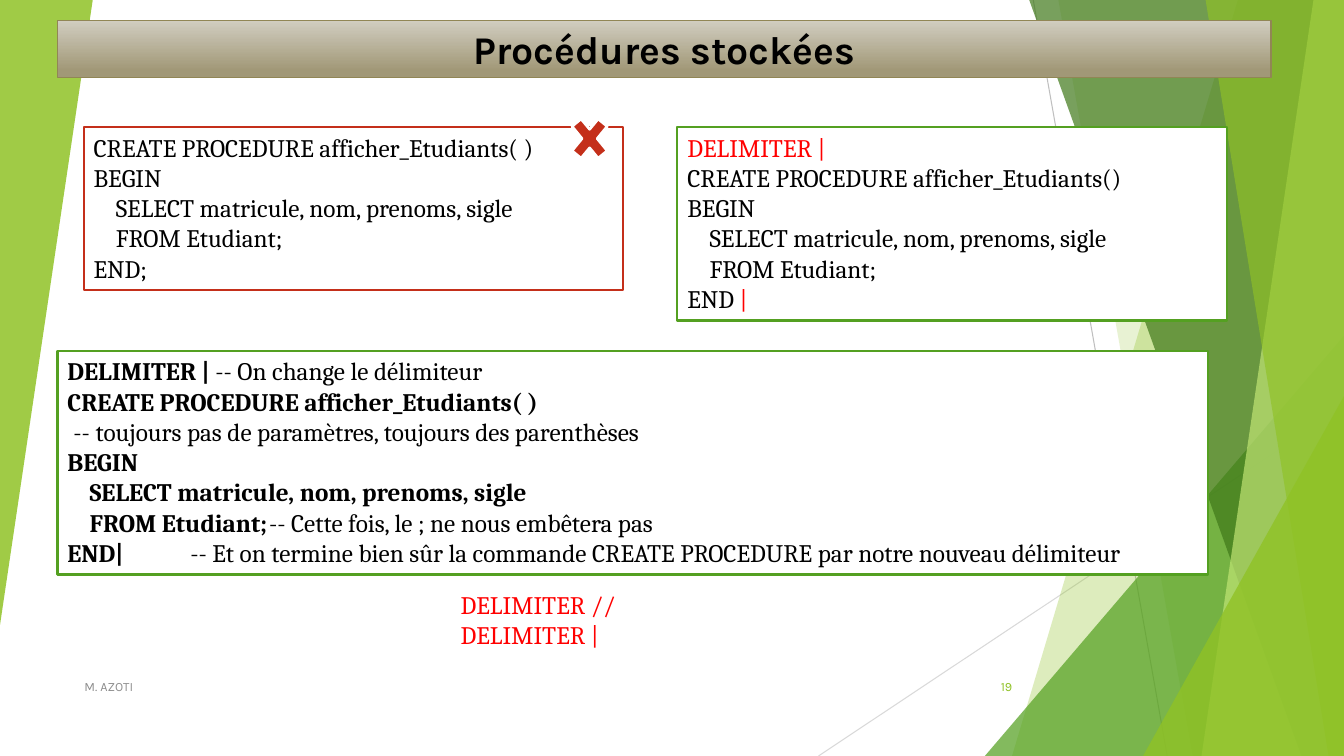
from pptx import Presentation
from pptx.dml.color import RGBColor
from pptx.enum.shapes import MSO_CONNECTOR, MSO_SHAPE
from pptx.enum.text import MSO_ANCHOR, MSO_AUTO_SIZE, PP_ALIGN
from pptx.oxml.ns import qn
from pptx.util import Inches, Pt
from lxml import etree

RECT, TRIANGLE, CROSS = MSO_SHAPE.RECTANGLE, MSO_SHAPE.ISOSCELES_TRIANGLE, MSO_SHAPE.MATH_MULTIPLY
STRAIGHT = MSO_CONNECTOR.STRAIGHT
TOP, MIDDLE = MSO_ANCHOR.TOP, MSO_ANCHOR.MIDDLE
LEFT, CENTER, RIGHT = PP_ALIGN.LEFT, PP_ALIGN.CENTER, PP_ALIGN.RIGHT
NO_FIT = MSO_AUTO_SIZE.NONE

BLACK = RGBColor(0x00, 0x00, 0x00)
WHITE = RGBColor(0xFF, 0xFF, 0xFF)
RED = RGBColor(0xFF, 0x00, 0x00)
BRICK = RGBColor(0xC4, 0x2F, 0x1A)
GREY = RGBColor(0x8C, 0x8C, 0x8C)
SILVER = RGBColor(0xBF, 0xBF, 0xBF)
PALE_GREY = RGBColor(0xD9, 0xD9, 0xD9)
LIME = RGBColor(0x90, 0xC2, 0x26)
PALE_LIME = RGBColor(0xC0, 0xE4, 0x74)
GREEN = RGBColor(0x54, 0xA0, 0x21)
DARK_GREEN = RGBColor(0x3F, 0x78, 0x19)
SAND = RGBColor(0xD1, 0xCD, 0xC0)
KHAKI = RGBColor(0xA1, 0x98, 0x77)
OLIVE = RGBColor(0x91, 0x86, 0x55)


def line(*runs, color=BLACK, bold=False, indent=0, tab=0):
    """One line of text; a run is a string or (string, colour, bold)."""
    return runs, color, bold, indent, tab


class Deck:
    """Style and current slide; lengths are percent of slide width and height."""
    heading_font, code_font = "Karla", "Cambria"
    heading_size, code_size, small_size = 28, 18, 9

    def __init__(self):
        self.prs = Presentation()
        self.prs.slide_width, self.prs.slide_height = Inches(13.33), Inches(7.5)
        self.s = self.prs.slides.add_slide(self.prs.slide_layouts[5])

    def x(self, share):
        return int(self.prs.slide_width * share / 100)

    def y(self, share):
        return int(self.prs.slide_height * share / 100)

    def area(self, left, top, width, height):
        return self.x(left), self.y(top), self.x(width), self.y(height)

    def paint(self, sp, color, alpha=100, outline=None, width=1.5):
        sp.shadow.inherit = False
        sp.fill.solid()
        sp.fill.fore_color.rgb = color
        if alpha < 100:
            clr = sp._element.spPr.find(qn("a:solidFill"))[0]
            etree.SubElement(clr, qn("a:alpha")).set("val", str(alpha * 1000))
        if outline is None:
            sp.line.fill.background()
        else:
            sp.line.color.rgb = outline
            sp.line.width = Pt(width)

    def hairline(self, x1, y1, x2, y2, color):
        c = self.s.shapes.add_connector(STRAIGHT, self.x(x1), self.y(y1), self.x(x2), self.y(y2))
        c.line.color.rgb = color
        c.line.width = Pt(0.75)
        etree.SubElement(c._element.spPr, qn("a:effectLst"))

    def facet(self, top_x, bottom_x, color, alpha):
        """Slanted panel reaching the right edge of the slide."""
        fb = self.s.shapes.build_freeform(self.x(top_x), 0)
        fb.add_line_segments([(self.x(100), 0), (self.x(100), self.y(100)),
                              (self.x(bottom_x), self.y(100))], close=True)
        self.paint(fb.convert_to_shape(), color, alpha)

    def triangle(self, box, color, alpha, rotation=0):
        sp = self.s.shapes.add_shape(TRIANGLE, *self.area(*box))
        sp.adjustments[0] = 1
        sp.rotation = rotation
        self.paint(sp, color, alpha)

    def cross(self, box):
        sp = self.s.shapes.add_shape(CROSS, *self.area(*box))
        self.paint(sp, BRICK, outline=WHITE, width=2)

    def title(self, text, box):
        sp = self.s.shapes.title
        sp.left, sp.top, sp.width, sp.height = self.area(*box)
        self.s.shapes._spTree.append(sp._element)
        sp.fill.gradient()
        sp.fill.gradient_angle = 270
        for stop, color, position in zip(sp.fill.gradient_stops, (SAND, KHAKI), (0, 0.88)):
            stop.color.rgb = color
            stop.position = position
        sp.line.color.rgb = OLIVE
        sp.line.width = Pt(1)
        self.set_text(sp, [line(text, bold=True)], self.heading_font, self.heading_size, CENTER)

    def code(self, lines, box, outline=None):
        if outline is None:
            sp = self.s.shapes.add_textbox(*self.area(*box))
        else:
            sp = self.s.shapes.add_shape(RECT, *self.area(*box))
            self.paint(sp, WHITE, outline=outline)
        self.set_text(sp, lines, self.code_font, self.code_size)

    def small(self, text, box, color, align):
        sp = self.s.shapes.add_textbox(*self.area(*box))
        self.set_text(sp, [line(text, color=color)], self.heading_font, self.small_size,
                      align, MIDDLE)

    def set_text(self, sp, lines, font, size, align=LEFT, anchor=TOP):
        tf = sp.text_frame
        tf.word_wrap = True
        tf.auto_size = NO_FIT
        tf.vertical_anchor = anchor
        for i, (runs, color, bold, indent, tab) in enumerate(lines):
            p = tf.paragraphs[0] if i == 0 else tf.add_paragraph()
            p.alignment = align
            p.font.name, p.font.size = font, Pt(size)
            p.font.color.rgb, p.font.bold = color, bold
            pPr = p._p.get_or_add_pPr()
            if indent:
                pPr.set("marL", "0")
                pPr.set("indent", str(self.x(indent)))
            if tab:
                tabs = etree.Element(qn("a:tabLst"))
                etree.SubElement(tabs, qn("a:tab"), pos=str(self.x(tab)), algn="l")
                pPr.insert(0, tabs)
            for run in runs:
                r = p.add_run()
                if isinstance(run, str):
                    r.text = run
                else:
                    r.text, r.font.color.rgb, r.font.bold = run


def main():
    d = Deck()

    # Faceted background
    d.hairline(76.88, 0, 86.85, 100, SILVER)
    d.hairline(100, 53.73, 60.9, 100, PALE_GREY)
    d.facet(92.1, 75.3, LIME, 30)
    d.facet(78.75, 88.73, LIME, 20)
    d.triangle((73.28, 44.4, 26.72, 55.6), GREEN, 72)
    d.facet(76.58, 96.83, DARK_GREEN, 70)
    d.facet(97.73, 89.4, PALE_LIME, 70)
    d.facet(89.7, 98.85, LIME, 65)
    d.triangle((85.05, 52.4, 14.95, 47.6), LIME, 80)
    d.triangle((0, 0, 6.9, 82.67), LIME, 85, rotation=180)

    # Title and footer
    d.title("Procédures stockées", (4.28, 2.67, 90.3, 7.6))
    d.small("M. AZOTI", (5.55, 88.13, 51.68, 5.33), GREY, LEFT)
    d.small("19", (70.43, 88.13, 5.63, 5.33), LIME, RIGHT)

    # Statements shared by the examples
    create = "CREATE PROCEDURE afficher_Etudiants"
    select = "SELECT matricule, nom, prenoms, sigle"
    source = "FROM Etudiant;"
    step = 1.65
    query = [line("BEGIN"), line(select, indent=step), line(source, indent=step)]

    # Failing procedure
    d.code([line(create + "( )"), *query, line("END;")],
           (6.23, 16.8, 40.13, 21.6), BRICK)

    # Commented procedure
    d.code([
        line(("DELIMITER | ", BLACK, True), "-- On change le délimiteur"),
        line(create + "( )", bold=True),
        line("-- toujours pas de paramètres, toujours des parenthèses", indent=0.45),
        line("BEGIN", bold=True),
        line(select, bold=True, indent=step),
        line((source, BLACK, True), "\t-- Cette fois, le ; ne nous embêtera pas",
             indent=step, tab=15.75),
        line(("END|", BLACK, True), "\t-- Et on termine bien sûr la commande CREATE PROCEDURE "
             "par notre nouveau délimiteur", tab=9.15),
    ], (4.28, 46.4, 85.58, 29.6), GREEN)

    # Working procedure
    d.code([line("DELIMITER |", color=RED), line(create + "()"), *query,
            line("END ", ("|", RED, False))],
           (50.4, 16.8, 40.88, 25.6), GREEN)

    # Delimiter choices and error mark
    d.code([line("DELIMITER //", color=RED), line("DELIMITER |", color=RED)],
           (33.53, 77.33, 20.93, 9.47))
    d.cross((42, 14.27, 3.75, 8.13))

    d.prs.save("out.pptx")


if __name__ == "__main__":
    main()
